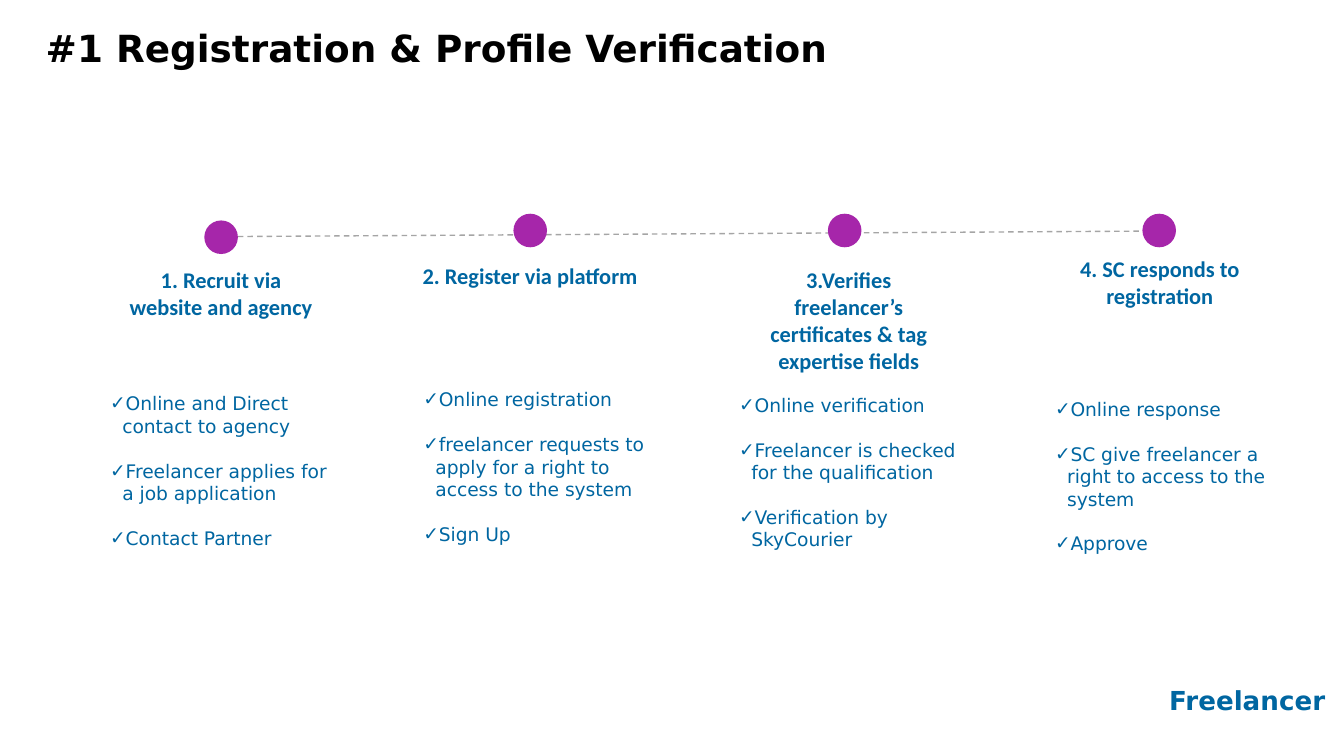
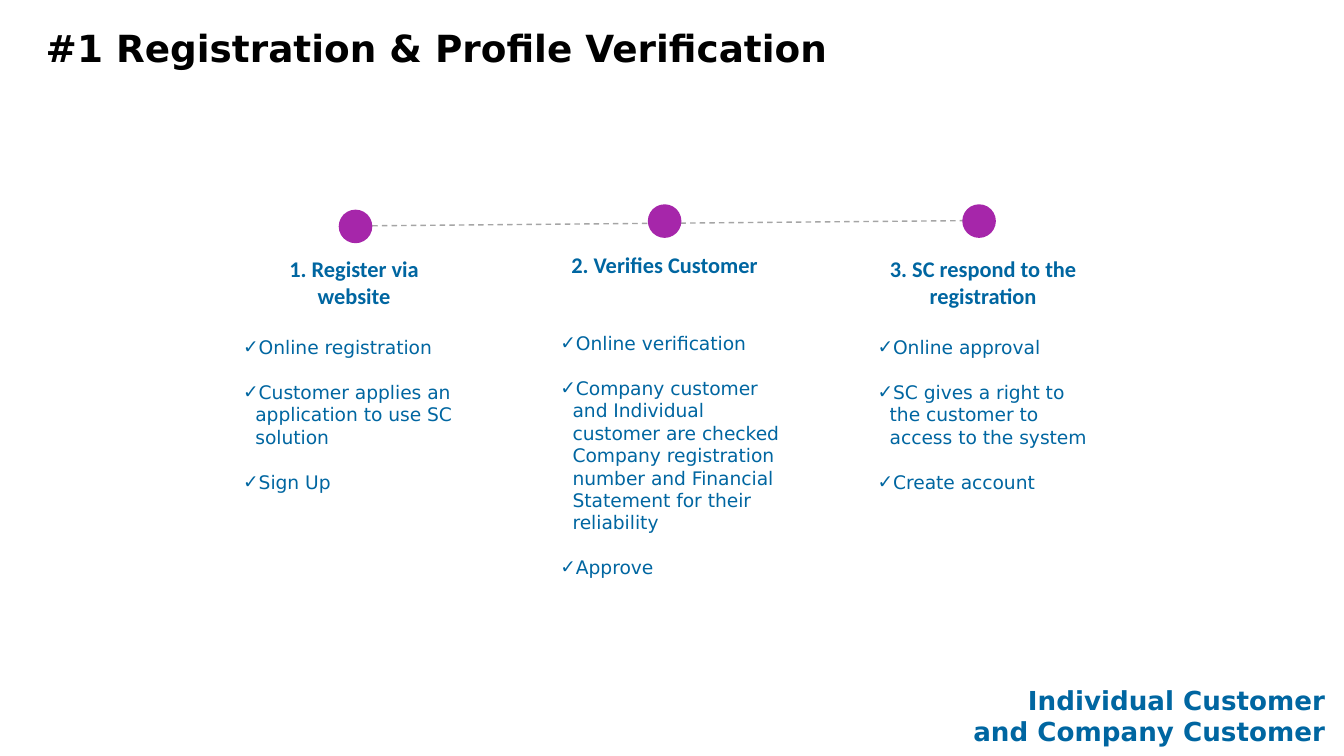
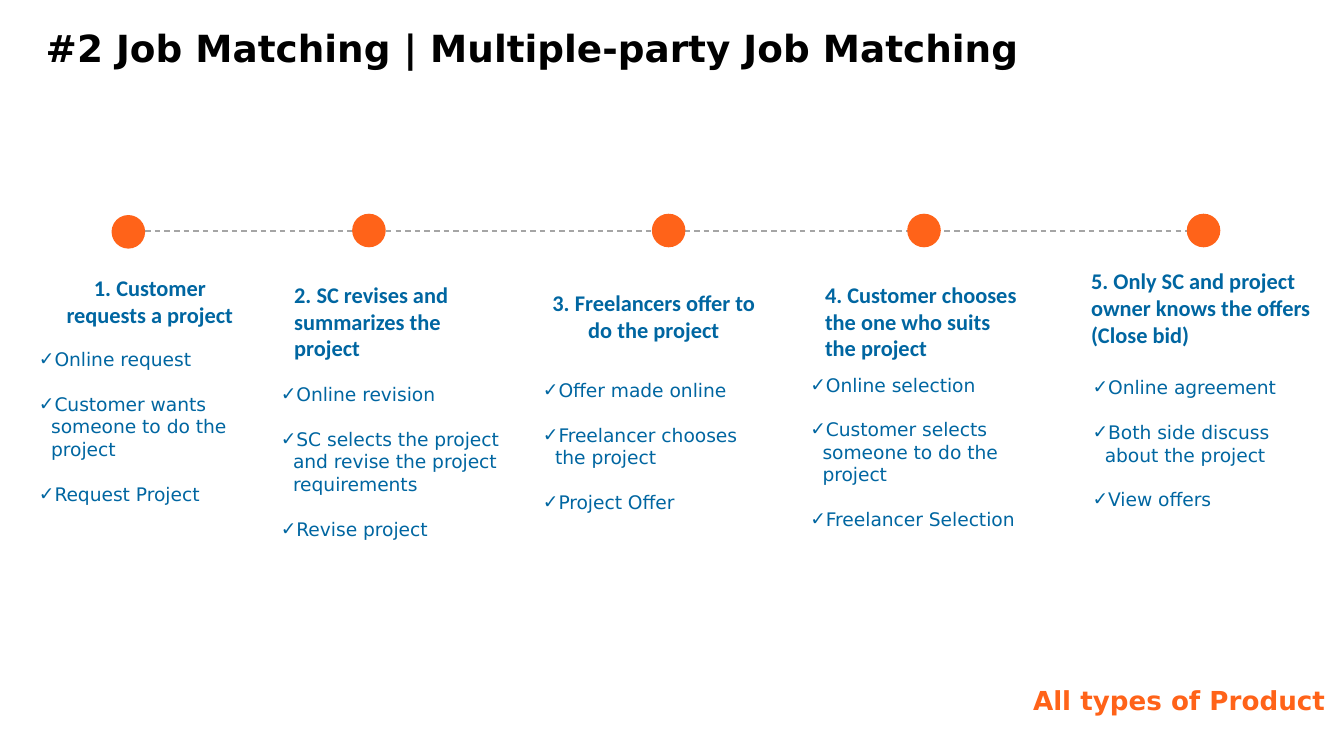
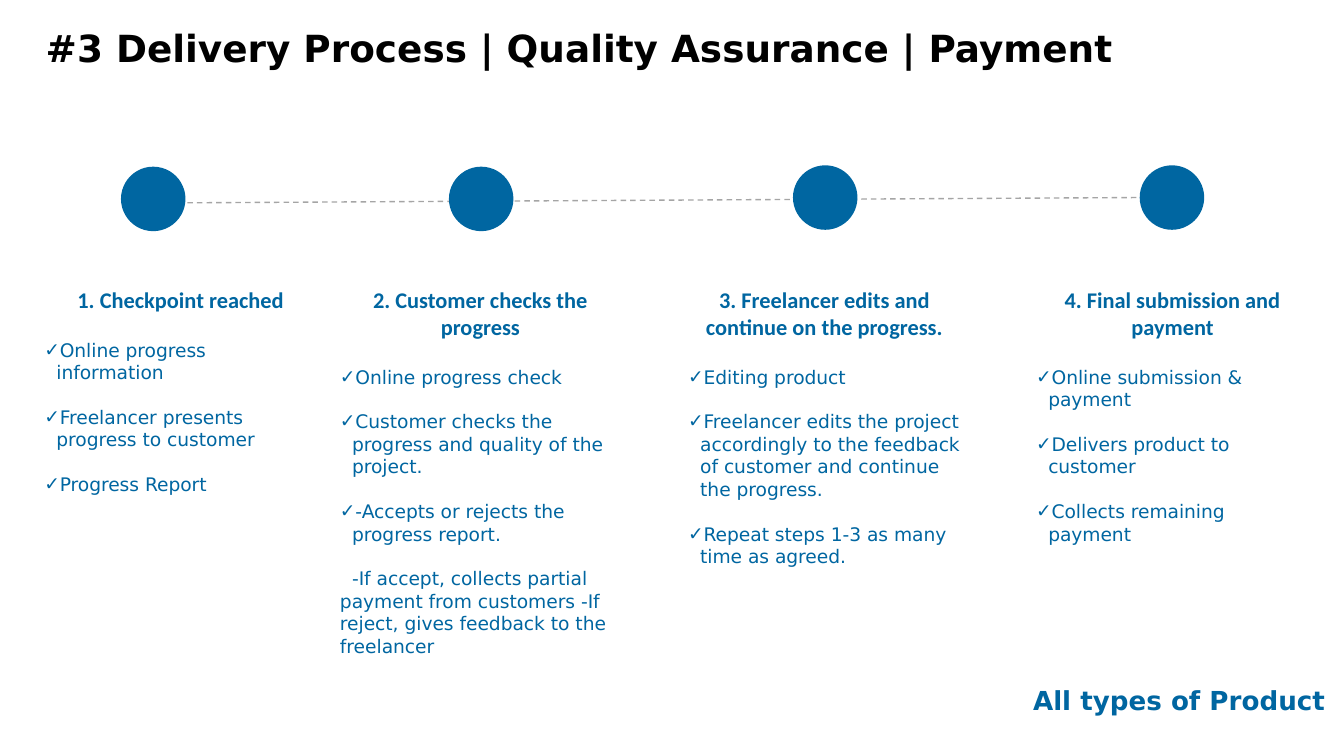
from dataclasses import dataclass

from lxml.etree import SubElement
from pptx import Presentation
from pptx.dml.color import RGBColor
from pptx.enum.dml import MSO_LINE
from pptx.enum.shapes import MSO_CONNECTOR, MSO_SHAPE
from pptx.enum.text import MSO_ANCHOR, MSO_AUTO_SIZE, PP_ALIGN
from pptx.oxml.ns import qn
from pptx.util import Inches, Pt

BLACK = RGBColor(0x00, 0x00, 0x00)
BLUE = RGBColor(0x00, 0x66, 0xA1)
PURPLE = RGBColor(0xA6, 0x26, 0xAA)
ORANGE = RGBColor(0xFF, 0x63, 0x19)
GREY = RGBColor(0xA5, 0xA5, 0xA5)
SANS = "DejaVu Sans"
HEAD_FONT = "Calibri"
TITLE_BOX = (0.24, 0.14, 9.57, 0.62)
FOOTER_BOX = (6.97, 5.04, 2.99, 0.57)
CENTER, LEFT, RIGHT = PP_ALIGN.CENTER, PP_ALIGN.LEFT, PP_ALIGN.RIGHT

Box = tuple[float, float, float, float]


@dataclass(frozen=True)
class Step:
    """One stage of a timeline: dot, heading and checklist."""
    dot: tuple[float, float]
    heading: str
    heading_box: Box
    items: list[str]
    list_box: Box
    align: PP_ALIGN = CENTER
    note: str = ""


@dataclass(frozen=True)
class Timeline:
    """One slide with its title, footer, line and steps."""
    title: str
    footer: list[str]
    line: Box
    steps: list[Step]
    dot_color: RGBColor
    dot_size: float = 0.25
    footer_color: RGBColor = BLUE


REGISTRATION = "#1 Registration & Profile Verification"

TIMELINES = [
    Timeline(REGISTRATION, ["Freelancer"], (1.77, 1.76, 8.5, 1.72), [
        Step((1.52, 1.64), "1. Recruit via website and agency", (0.82, 1.93, 1.65, 0.56),
             ["Online and Direct contact to agency",
              "Freelancer applies for a job application", "Contact Partner"],
             (0.82, 2.87, 1.65, 1.43)),
        Step((3.82, 1.59), "2. Register via platform", (3.01, 1.9, 1.87, 0.72),
             ["Online registration",
              "freelancer requests to apply for a right to access to the system", "Sign Up"],
             (3.15, 2.84, 1.65, 1.43)),
        Step((6.16, 1.59), "3.Verifies freelancer’s certificates & tag expertise fields",
             (5.49, 1.93, 1.65, 1.01),
             ["Online verification", "Freelancer is checked for the qualification",
              "Verification by SkyCourier"],
             (5.5, 2.88, 1.65, 1.39)),
        Step((8.5, 1.59), "4. SC responds to registration", (7.85, 1.85, 1.56, 0.72),
             ["Online response", "SC give freelancer a right to access to the system",
              "Approve"],
             (7.85, 2.91, 1.65, 1.39)),
    ], PURPLE),
    Timeline(REGISTRATION, ["Individual Customer", "and Company Customer"],
             (2.77, 1.68, 7.41, 1.64), [
        Step((2.52, 1.56), "1. Register via website", (1.81, 1.85, 1.65, 0.56),
             ["Online registration", "Customer applies an application to use SC solution",
              "Sign Up"],
             (1.81, 2.45, 1.65, 1.43)),
        Step((4.82, 1.52), "2. Verifies Customer", (4.01, 1.82, 1.87, 0.38),
             ["Online verification",
              "Company customer and Individual customer are checked Company registration "
              "number and Financial Statement for their reliability", "Approve"],
             (4.17, 2.42, 1.65, 1.94)),
        Step((7.16, 1.52), "3. SC respond to the registration", (6.49, 1.85, 1.65, 0.56),
             ["Online approval", "SC gives a right to the customer to access to the system",
              "Create account"],
             (6.53, 2.45, 1.65, 1.43)),
    ], PURPLE),
    Timeline("#2 Job Matching | Multiple-party Job Matching", ["All types of Product"],
             (1.08, 1.72, 8.83, 1.72), [
        Step((0.83, 1.6), "1. Customer requests a project", (0.29, 1.99, 1.65, 0.56),
             ["Online request", "Customer wants someone to do the project",
              "Request Project"],
             (0.29, 2.54, 1.65, 1.43)),
        Step((2.62, 1.59), "2. SC revises and summarizes the project",
             (2.09, 2.04, 1.65, 0.72),
             ["Online revision",
              "SC selects the project\nand revise the project requirements",
              "Revise project"],
             (2.09, 2.8, 1.65, 1.43), LEFT),
        Step((4.85, 1.59), "3. Freelancers offer to do the project",
             (3.93, 2.1, 1.87, 0.57),
             ["Offer made online", "Freelancer chooses the project", "Project Offer"],
             (4.04, 2.77, 1.65, 1.39)),
        Step((6.75, 1.59), "4. Customer chooses the one who suits the project",
             (6.04, 2.04, 1.65, 0.72),
             ["Online selection", "Customer selects someone to do the project",
              "Freelancer Selection"],
             (6.03, 2.73, 1.65, 1.43), LEFT),
        Step((8.83, 1.59), "5. Only SC and project owner knows the offers (Close bid)",
             (8.02, 1.94, 1.87, 0.92),
             ["Online agreement", "Both side discuss about the project", "View offers"],
             (8.13, 2.75, 1.65, 1.39), LEFT),
    ], ORANGE, footer_color=ORANGE),
    Timeline("#3 Delivery Process | Quality Assurance | Payment", ["All types of Product"],
             (1.25, 1.51, 8.48, 1.47), [
        Step((0.9, 1.24), "1. Checkpoint reached", (0.33, 2.08, 2.03, 0.68),
             ["Online progress information", "Freelancer presents progress to customer",
              "Progress Report"],
             (0.33, 2.47, 2.03, 1.93)),
        Step((3.34, 1.24), "2. Customer checks the progress", (2.56, 2.08, 2.03, 0.68),
             ["Online progress check",
              "Customer checks the progress and quality of the project.",
              "-Accepts or rejects the progress report."],
             (2.53, 2.67, 2.03, 2.11),
             note="-If accept, collects partial payment from customers "
                  "-If reject, gives feedback to the freelancer"),
        Step((5.9, 1.23), "3. Freelancer edits and continue on the progress.",
             (5.12, 2.08, 2.03, 0.68),
             ["Editing product",
              "Freelancer edits the project accordingly to the feedback of customer "
              "and continue the progress.",
              "Repeat steps 1-3 as many time as agreed."],
             (5.12, 2.67, 2.03, 1.75)),
        Step((8.48, 1.23), "4. Final submission and payment", (7.71, 2.08, 2.03, 0.68),
             ["Online submission & payment", "Delivers product to customer",
              "Collects remaining payment"],
             (7.71, 2.67, 2.03, 1.75)),
    ], BLUE, dot_size=0.48),
]


def set_indent(p, margin: float, first: float) -> None:
    """Set the left margin and first-line indent of a paragraph."""
    pPr = p._p.get_or_add_pPr()
    pPr.set("marL", str(Inches(margin)))
    pPr.set("indent", str(Inches(first)))


def add_check(p) -> None:
    """Give a paragraph a hanging blue check mark."""
    set_indent(p, 0.09, -0.1)
    pPr = p._p.get_or_add_pPr()
    color = SubElement(SubElement(pPr, qn("a:buClr")), qn("a:srgbClr"))
    color.set("val", str(BLUE))
    SubElement(pPr, qn("a:buFont")).set("typeface", SANS)
    SubElement(pPr, qn("a:buChar")).set("char", "✓")


def write(sp, lines: list[str], *, size: float, font: str = SANS, color: RGBColor = BLUE,
          bold: bool = False, align: PP_ALIGN = LEFT, gap: float = 0,
          checks: int = 0, side: float = 0.1) -> None:
    """Fill a shape with formatted paragraphs, the first ones check-marked."""
    tf = sp.text_frame
    tf.word_wrap = True
    tf.auto_size = MSO_AUTO_SIZE.NONE
    tf.vertical_anchor = MSO_ANCHOR.TOP
    tf.margin_left = tf.margin_right = Inches(side)
    tf.margin_top = tf.margin_bottom = Inches(0.05)
    for i, line in enumerate(lines):
        p = tf.add_paragraph() if i else tf.paragraphs[0]
        if i < checks:
            add_check(p)
        elif checks:
            set_indent(p, 0, 0.09)
        p.alignment = align
        p.space_before = Pt(gap if i else 0)
        for j, part in enumerate(line.split("\n")):
            if j:
                p.add_line_break()
            r = p.add_run()
            r.text = part
            r.font.name, r.font.size, r.font.bold = font, Pt(size), bold
            r.font.color.rgb = color


def add_text(slide, box: Box, lines: list[str], **style) -> None:
    """Add a text box with the given format."""
    write(slide.shapes.add_textbox(*map(Inches, box)), lines, **style)


def add_title(slide, text: str) -> None:
    """Place and fill the title placeholder."""
    sp = slide.shapes.title
    sp.left, sp.top, sp.width, sp.height = map(Inches, TITLE_BOX)
    write(sp, [text], size=20, color=BLACK, bold=True)


def add_line(slide, ends: Box) -> None:
    """Draw the dashed timeline."""
    cxn = slide.shapes.add_connector(MSO_CONNECTOR.STRAIGHT, *map(Inches, ends))
    cxn.line.color.rgb = GREY
    cxn.line.width = Pt(0.75)
    cxn.line.dash_style = MSO_LINE.DASH
    SubElement(cxn._element.spPr, qn("a:effectLst"))


def add_step(slide, step: Step, color: RGBColor, size: float) -> None:
    """Draw the dot, heading and checklist of a step."""
    sp = slide.shapes.add_shape(MSO_SHAPE.OVAL, *map(Inches, (*step.dot, size, size)))
    sp.shadow.inherit = False
    sp.fill.solid()
    sp.fill.fore_color.rgb = color
    sp.line.fill.background()
    add_text(slide, step.heading_box, [step.heading], size=12, font=HEAD_FONT,
             bold=True, align=step.align)
    lines = step.items + ([step.note] if step.note else [])
    add_text(slide, step.list_box, lines, size=10, gap=12,
             checks=len(step.items), side=0)


def add_timeline(prs, timeline: Timeline) -> None:
    """Add a complete timeline slide."""
    slide = prs.slides.add_slide(prs.slide_layouts.get_by_name("Title Only"))
    add_title(slide, timeline.title)
    add_line(slide, timeline.line)
    for step in timeline.steps:
        add_step(slide, step, timeline.dot_color, timeline.dot_size)
    add_text(slide, FOOTER_BOX, timeline.footer, size=14, bold=True,
             color=timeline.footer_color, align=RIGHT)


def main() -> None:
    """Build and save the presentation."""
    prs = Presentation()
    prs.slide_width = Inches(10)
    prs.slide_height = prs.slide_width * 9 // 16
    for timeline in TIMELINES:
        add_timeline(prs, timeline)
    prs.save("out.pptx")


if __name__ == "__main__":
    main()
